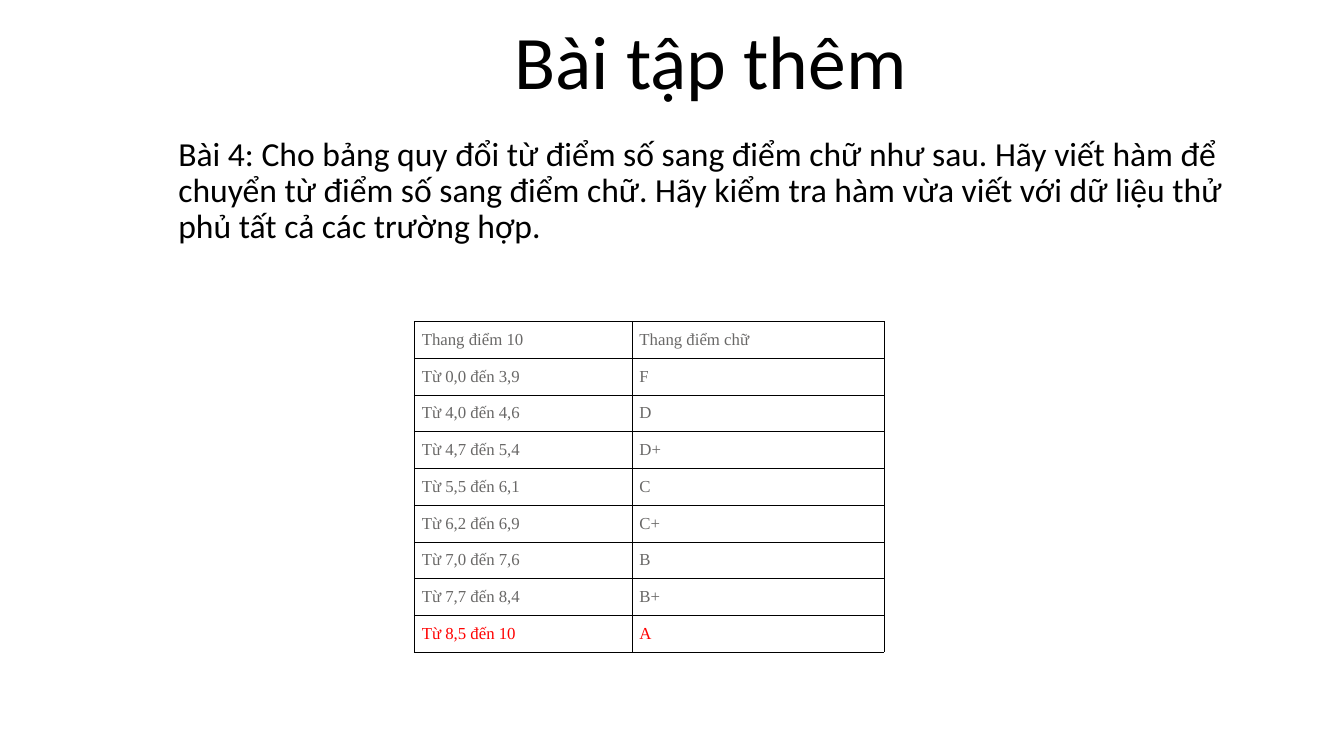
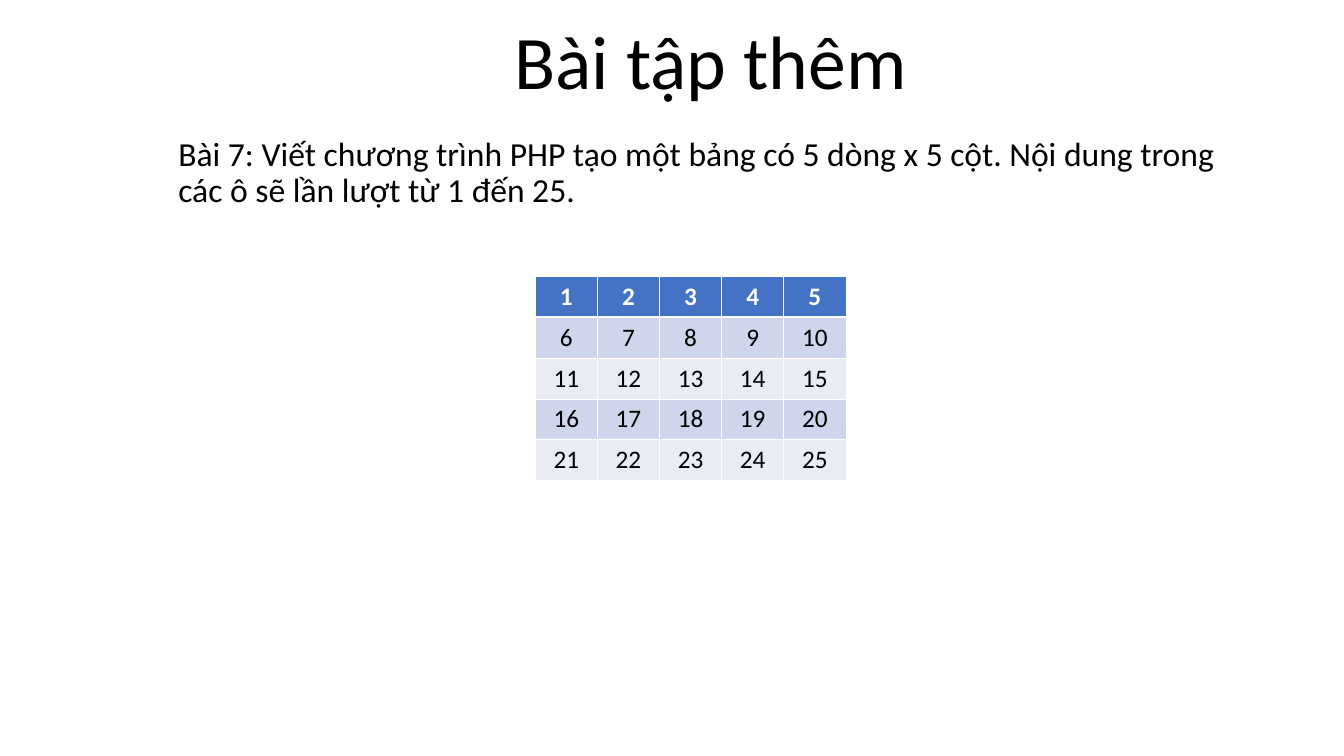
from lxml import etree
from pptx import Presentation
from pptx.dml.color import RGBColor
from pptx.enum.text import MSO_ANCHOR, MSO_AUTO_SIZE, PP_ALIGN
from pptx.oxml.ns import qn
from pptx.util import Pt

LEFT, CENTER, JUSTIFY = PP_ALIGN.LEFT, PP_ALIGN.CENTER, PP_ALIGN.JUSTIFY
TOP, MIDDLE, BOTTOM = MSO_ANCHOR.TOP, MSO_ANCHOR.MIDDLE, MSO_ANCHOR.BOTTOM
NO_FIT = MSO_AUTO_SIZE.NONE

# Shared look
BLACK = RGBColor(0x00, 0x00, 0x00)
WHITE = RGBColor(0xFF, 0xFF, 0xFF)
GRAY = RGBColor(0x69, 0x68, 0x67)
RED = RGBColor(0xFF, 0x00, 0x00)
BLUE = RGBColor(0x44, 0x72, 0xC4)
BANDS = RGBColor(0xCF, 0xD5, 0xEA), RGBColor(0xE9, 0xEB, 0xF5)
SANS, SERIF = "Calibri", "Times New Roman"
TITLE = "Bài tập thêm"
THIN, THICK = 0.5, 1.5

# Content
TASK_4 = ("Bài 4: Cho bảng quy đổi từ điểm số sang điểm chữ như sau. "
          "Hãy viết hàm để chuyển từ điểm số sang điểm chữ. "
          "Hãy kiểm tra hàm vừa viết với dữ liệu thử phủ tất cả các trường hợp.")
TASK_7 = ("Bài 7: Viết chương trình PHP tạo một bảng có 5 dòng x 5 cột. "
          "Nội dung trong các ô sẽ lần lượt từ 1 đến 25.")
GRADES = [
    ("Thang điểm 10", "Thang điểm chữ"),
    ("Từ 0,0 đến 3,9", "F"),
    ("Từ 4,0 đến 4,6", "D"),
    ("Từ 4,7 đến 5,4", "D+"),
    ("Từ 5,5 đến 6,1", "C"),
    ("Từ 6,2 đến 6,9", "C+"),
    ("Từ 7,0 đến 7,6", "B"),
    ("Từ 7,7 đến 8,4", "B+"),
    ("Từ 8,5 đến 10", "A"),
]
SIDE = 5
NUMBERS = [[str(row * SIDE + col + 1) for col in range(SIDE)]
           for row in range(SIDE)]


def style(para, size, color, align, face=SANS, bold=False):
    para.alignment = align
    font = para.font
    font.name, font.size, font.bold = face, Pt(size), bold
    font.color.rgb = color


def fill_holder(holder, text, top, height, size, align, anchor, before=0):
    holder.left, holder.top = Pt(120.2), Pt(top)
    holder.width, holder.height = Pt(774.7), Pt(height)
    frame = holder.text_frame
    frame.text = text
    frame.auto_size, frame.vertical_anchor = NO_FIT, anchor
    para = frame.paragraphs[0]
    para.line_spacing, para.space_before = 0.9, Pt(before)
    style(para, size, BLACK, align)


def add_task(deck, text):
    slide = deck.slides.add_slide(deck.slide_layouts[0])
    title, body = slide.placeholders
    fill_holder(title, TITLE, 26.6, 52.6, 54, CENTER, BOTTOM)
    fill_holder(body, text, 94.3, 419.8, 24, LEFT, TOP, before=10)
    return slide


def add_grid(slide, left, top, widths, height, rows):
    """Add a plain table and return it."""
    frame = slide.shapes.add_table(len(rows), len(widths), Pt(left), Pt(top),
                                   Pt(sum(widths)), Pt(height * len(rows)))
    table = frame.table
    table.first_row = table.horz_banding = False
    for col, width in zip(table.columns, widths):
        col.width = Pt(width)
    for line, texts in zip(table.rows, rows):
        line.height = Pt(height)
        for cell, text in zip(line.cells, texts):
            cell.text = text
    return table


def set_edges(cell, color, top=THIN, bottom=THIN):
    props = cell._tc.get_or_add_tcPr()
    edges = {"lnL": THIN, "lnR": THIN, "lnT": top, "lnB": bottom}
    for tag, width in edges.items():
        line = etree.SubElement(props, qn("a:" + tag), w=str(Pt(width)))
        solid = etree.SubElement(line, qn("a:solidFill"))
        etree.SubElement(solid, qn("a:srgbClr"), val=str(color))


def add_grades(slide):
    table = add_grid(slide, 295.9, 229.7, (155.5, 180), 26.24, GRADES)
    last = len(GRADES) - 1
    for row, line in enumerate(table.rows):
        for cell in line.cells:
            set_edges(cell, BLACK)
            cell.fill.background()
            cell.vertical_anchor = MIDDLE
            cell.margin_left = cell.margin_right = Pt(5.4)
            style(cell.text_frame.paragraphs[0], 12,
                  RED if row == last else GRAY, JUSTIFY, SERIF)


def add_numbers(slide):
    table = add_grid(slide, 382.3, 197.3, [44.4] * SIDE, 29.2, NUMBERS)
    for row, line in enumerate(table.rows):
        head = row == 0
        for cell in line.cells:
            set_edges(cell, WHITE, top=THICK if row == 1 else THIN,
                      bottom=THICK if head else THIN)
            cell.fill.solid()
            cell.fill.fore_color.rgb = BLUE if head else BANDS[(row - 1) % 2]
            style(cell.text_frame.paragraphs[0], 18,
                  WHITE if head else BLACK, CENTER, bold=head)


def main():
    deck = Presentation()
    deck.slide_width, deck.slide_height = Pt(960), Pt(540)
    add_grades(add_task(deck, TASK_4))
    add_numbers(add_task(deck, TASK_7))
    deck.save("out.pptx")


if __name__ == "__main__":
    main()
